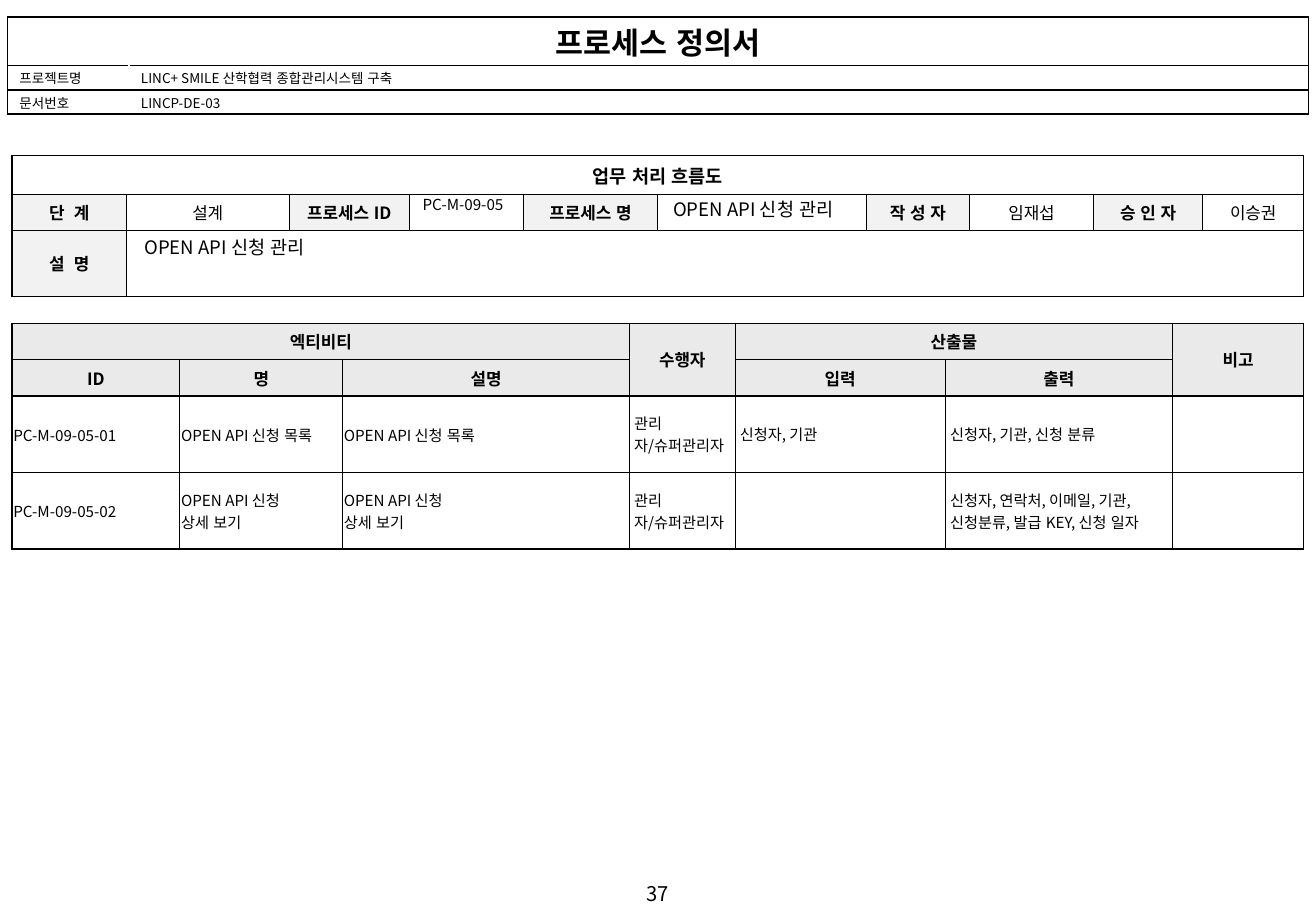
from lxml import etree
from pptx import Presentation
from pptx import util as u
from pptx.dml.color import RGBColor
from pptx.enum import lang, text
from pptx.oxml import ns

PX = 9144
FONT = "Noto Sans CJK KR"
BLACK = RGBColor(0x00, 0x00, 0x00)
WHITE = RGBColor(0xFF, 0xFF, 0xFF)
LABEL = RGBColor(0xF2, 0xF2, 0xF2)
HEADING = RGBColor(0xEA, 0xEA, 0xEA)
CENTER = text.PP_ALIGN.CENTER
LEFT = text.PP_ALIGN.LEFT
MIDDLE = text.MSO_ANCHOR.MIDDLE
TOP = text.MSO_ANCHOR.TOP


def px(length):
    """Turn px into EMU."""
    return u.Emu(length * PX)


def pad(holder, insets):
    """Set left, top, right and bottom insets of a cell or text frame."""
    (holder.margin_left, holder.margin_top,
     holder.margin_right, holder.margin_bottom) = map(px, insets)


def write(frame, wording, size=9, bold=False, align=LEFT):
    """Write one paragraph per line of wording."""
    for index, line in enumerate(wording.split("\n")):
        paragraph = frame.add_paragraph() if index else frame.paragraphs[0]
        paragraph.alignment = align
        if not line:
            paragraph._p.get_or_add_endParaRPr().set("sz", str(size * 100))
            continue
        run = paragraph.add_run()
        run.text = line
        font = run.font
        font.name, font.size, font.bold = FONT, u.Pt(size), bold
        font.color.rgb = BLACK
        font.language_id = lang.MSO_LANGUAGE_ID.KOREAN
        etree.SubElement(font._element, ns.qn("a:ea"), typeface=FONT)


def add_label(slide, box, wording, **fmt):
    """Add a wrapped text box."""
    frame = slide.shapes.add_textbox(*map(px, box)).text_frame
    frame.word_wrap = True
    pad(frame, (10, 5, 10, 5))
    write(frame, wording, **fmt)


def draw_border(cell, order, side, width, color):
    """Draw one side of a cell."""
    line = etree.Element(ns.qn("a:ln" + side), w=str(int(u.Pt(width))))
    fill = etree.SubElement(line, ns.qn("a:solidFill"))
    etree.SubElement(fill, ns.qn("a:srgbClr"), val=str(color))
    cell._tc.get_or_add_tcPr().insert(order, line)


def add_grid(slide, corner, widths, heights, rows, style, merges,
             inner=0.75, heavy="", divider=BLACK):
    """Add a table; heavy lists the outer sides ruled at 1 pt."""
    table = slide.shapes.add_table(
        len(rows), len(widths), *map(px, (*corner, sum(widths), sum(heights)))).table
    table.first_row = table.horz_banding = False
    for column, width in zip(table.columns, widths):
        column.width = px(width)
    for row, height in zip(table.rows, heights):
        row.height = px(height)
    for r1, c1, r2, c2 in merges:
        table.cell(r1, c1).merge(table.cell(r2, c2))
    for r, row in enumerate(rows):
        for c, wording in enumerate(row):
            cell = table.cell(r, c)
            fill, anchor, insets, fmt = style(r, c)
            if fill is None:
                cell.fill.background()
            else:
                cell.fill.solid()
                cell.fill.fore_color.rgb = fill
            cell.vertical_anchor = anchor
            pad(cell, insets)
            write(cell.text_frame, wording, **fmt)
            outer = {"L": c == 0, "R": c + cell.span_width >= len(widths),
                     "T": r == 0, "B": r + cell.span_height >= len(rows)}
            for order, (side, edge) in enumerate(outer.items()):
                width = 1 if edge and side in heavy else inner
                color = divider if side in "LR" and not edge else BLACK
                draw_border(cell, order, side, width, color)


def title_style(r, c):
    """Style the document header."""
    fmt = {"size": 8} if r else {"size": 18, "bold": True, "align": CENTER}
    return WHITE, TOP, (10, 2, 10, 2), fmt


def flow_style(r, c):
    """Style the process summary, with labels in every other column."""
    is_label = r > 0 and c % 2 == 0 and (r == 1 or c == 0)
    fmt = {"size": 10 if r else 11, "bold": is_label or r == 0, "align": CENTER}
    return LABEL if is_label else WHITE, MIDDLE, (10, 5, 10, 5), fmt


def activity_style(r, c):
    """Style the activity list."""
    if r < 2:
        return HEADING, MIDDLE, (10, 5, 10, 5), {"size": 10, "bold": True, "align": CENTER}
    return None, MIDDLE, (1, 1, 1, 0) if c < 3 else (4, 4, 4, 4), {"size": 9}


def main():
    """Build the process definition slide."""
    deck = Presentation()
    deck.slide_width, deck.slide_height = px(1083), px(750)
    slide = deck.slides.add_slide(deck.slide_layouts[6])

    add_label(slide, (0, 721, 1083, 30), "37", size=12, align=CENTER)
    add_grid(slide, (6, 14), (100, 971), (40, 20, 20), [
        ("프로세스 정의서", ""),
        ("프로젝트명", "LINC+ SMILE 산학협력 종합관리시스템 구축"),
        ("문서번호", "LINCP-DE-03"),
    ], title_style, [(0, 0, 0, 1)], inner=1, divider=WHITE)
    add_grid(slide, (10, 128), (94, 134, 99, 94, 110, 172, 85, 102, 90, 83), (32, 30, 54), [
        ("업무 처리 흐름도",) + ("",) * 9,
        ("단  계", "설계", "프로세스 ID", "", "프로세스 명", "",
         "작 성 자", "임재섭", "승 인 자", "이승권"),
        ("설  명",) + ("",) * 9,
    ], flow_style, [(0, 0, 0, 9), (2, 1, 2, 9)], heavy="LRTB")
    add_grid(slide, (10, 266), (138, 134, 236, 87, 173, 187, 108), (30, 30, 63, 63), [
        ("엑티비티", "", "", "수행자", "산출물", "", "비고"),
        ("ID", "명", "설명", "", "입력", "출력", ""),
        ("PC-M-09-05-01", "OPEN API 신청 목록", "OPEN API 신청 목록",
         "관리자/슈퍼관리자", "신청자, 기관", "신청자, 기관, 신청 분류", ""),
        ("PC-M-09-05-02", "OPEN API 신청\n상세 보기", "OPEN API 신청\n상세 보기",
         "관리자/슈퍼관리자", "",
         "신청자, 연락처, 이메일, 기관, 신청분류, 발급 KEY, 신청 일자", ""),
    ], activity_style, [(0, 0, 0, 2), (0, 3, 1, 3), (0, 4, 0, 5), (0, 6, 1, 6)], heavy="L")

    add_label(slide, (338, 156, 93, 25), "PC-M-09-05", size=9)
    for box in ((544, 158, 171, 29), (109, 189, 953, 29)):
        add_label(slide, box, "OPEN API 신청 관리", size=11)
    deck.save("out.pptx")


if __name__ == "__main__":
    main()
